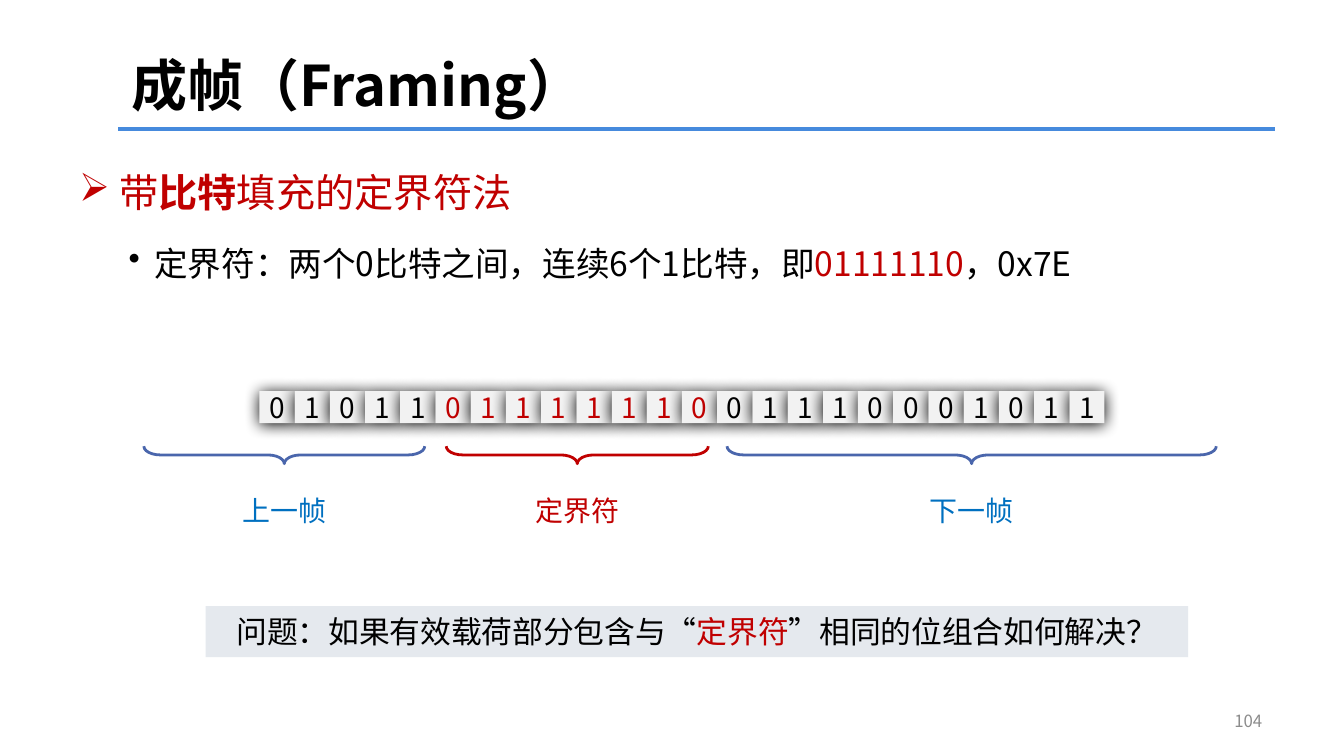
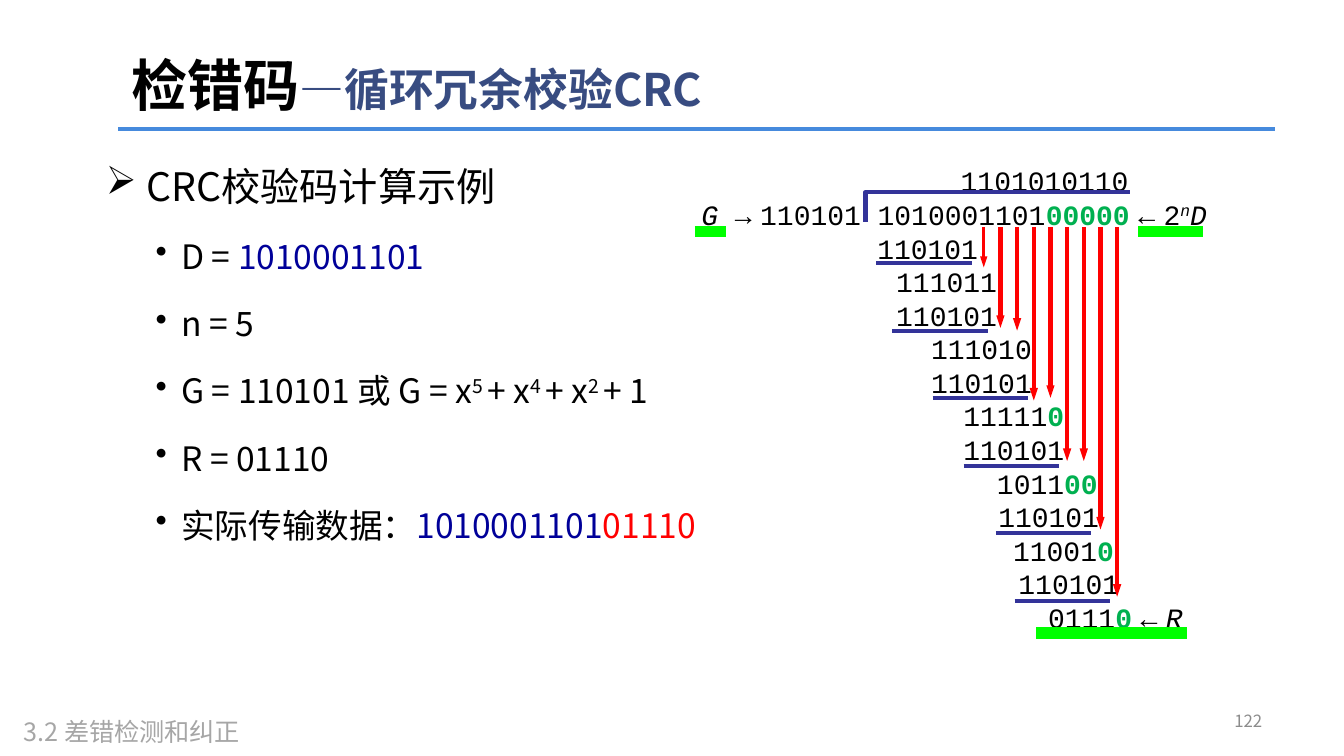
"""Builds two lecture slides on framing and CRC error detection."""
from dataclasses import dataclass
from typing import NamedTuple, Optional, Sequence

from lxml import etree
from pptx import Presentation
from pptx.dml.color import RGBColor
from pptx.enum.shapes import MSO_CONNECTOR, MSO_SHAPE
from pptx.enum.text import MSO_ANCHOR, PP_ALIGN
from pptx.oxml.ns import qn
from pptx.util import Inches, Pt

RECTANGLE, LEFT_BRACE = MSO_SHAPE.RECTANGLE, MSO_SHAPE.LEFT_BRACE
STRAIGHT = MSO_CONNECTOR.STRAIGHT
TOP, MIDDLE = MSO_ANCHOR.TOP, MSO_ANCHOR.MIDDLE
LEFT, CENTER, RIGHT = PP_ALIGN.LEFT, PP_ALIGN.CENTER, PP_ALIGN.RIGHT

SLIDE_WIDTH = Inches(10)
SLIDE_HEIGHT = SLIDE_WIDTH * 9 // 16
UNIT = SLIDE_WIDTH // 100


@dataclass(frozen=True)
class Theme:
    """Colours, fonts and type sizes shared by the slides."""
    sans: str = "Noto Sans CJK SC"
    mono: str = "Courier New"
    black: str = "000000"
    crimson: str = "C00000"
    red: str = "FF0000"
    green: str = "00B050"
    marker: str = "00FF00"
    navy: str = "000099"
    ink: str = "333399"
    rule: str = "468ADD"
    subtitle: str = "384C81"
    brace: str = "4A66AC"
    label: str = "0070C0"
    cell: str = "F2F2F2"
    panel: str = "E5E9EE"
    number: str = "8C8C8C"
    footer: str = "A6A6A6"
    title_size: float = 30
    subtitle_size: float = 24
    heading_size: float = 21
    body_size: float = 18
    question_size: float = 16.5
    detail_size: float = 15
    footer_size: float = 13.5
    number_size: float = 9
    gap_size: float = 7.5


THEME = Theme()


class Box(NamedTuple):
    """A frame in grid columns and rows, 100 columns to the slide."""
    left: float
    top: float
    width: float
    height: float


@dataclass(frozen=True)
class Span:
    """A stretch of text in one format."""
    text: str
    size: float = THEME.body_size
    color: str = THEME.black
    bold: bool = False
    italic: bool = False
    raised: bool = False
    font: str = THEME.sans


@dataclass(frozen=True)
class Line:
    """A paragraph with its layout; indents are in grid columns."""
    spans: Sequence[Span]
    align: PP_ALIGN = LEFT
    spacing: Optional[object] = None
    before: float = 0
    margin: float = 0
    hanging: float = 0
    bullet: str = ""


@dataclass(frozen=True)
class Stroke:
    """A straight line between two grid points."""
    x1: float
    y1: float
    x2: float
    y2: float
    color: str
    weight: float
    arrow: bool = False


@dataclass(frozen=True)
class Section:
    """A brace over a labelled stretch of the bit stream."""
    text: str
    left: float
    width: float
    line_color: str
    text_color: str


SECTIONS = (
    Section("定界符", 33.2, 19.5, THEME.crimson, THEME.crimson),
    Section("上一帧", 10.7, 20.9, THEME.brace, THEME.label),
    Section("下一帧", 54.1, 36.4, THEME.brace, THEME.label),
)
BITS = "01011" "01111110" "01110001011"
DELIMITER = range(5, 13)
ARROW_ENDS = (19.9, 24.4, 24.6, 29.8, 29.6, 34.3, 34.3, 39.4, 44.4)
UNDERLINE_LEFTS = (65.2, 66.4, 69.4, 71.7, 74.1, 75.5)
MARKERS = ((77.1, 88.3, 47.1), (84.7, 89.5, 17.2), (51.7, 54, 17.2))
REMAINDERS = (
    (20.1, "110101", ""), (21.5, "111011", ""), (21.5, "110101", ""),
    (24.1, "111010", ""), (24.1, "110101", ""), (26.5, "11111", "0"),
    (26.5, "110101", ""), (29, "1011", "00"), (29.1, "110101", ""),
    (30.2, "11001", "0"), (30.6, "110101", ""),
)


def grid(value: float) -> int:
    """Turn grid units into a length."""
    return round(value * UNIT)


def frame_of(box: Box) -> list[int]:
    """Turn a grid box into left, top, width and height."""
    return [grid(value) for value in box]


def rgb(color: str) -> RGBColor:
    """Turn a hex string into a colour."""
    return RGBColor.from_string(color)


def style_run(run, span: Span) -> None:
    """Give a run the format of its span."""
    run.font.size = Pt(span.size)
    run.font.bold, run.font.italic = span.bold, span.italic
    run.font.color.rgb = rgb(span.color)
    run.font.name = span.font
    properties = run.font._element
    etree.SubElement(properties, qn("a:ea")).set("typeface", span.font)
    if span.raised:
        properties.set("baseline", "30000")


def write(shape, lines: Sequence[Line], anchor: MSO_ANCHOR = TOP, wrap: bool = True) -> None:
    """Fill a shape with paragraphs."""
    frame = shape.text_frame
    frame.word_wrap, frame.vertical_anchor = wrap, anchor
    for index, line in enumerate(lines):
        para = frame.add_paragraph() if index else frame.paragraphs[0]
        para.text = line.spans[0].text
        for span in line.spans[1:]:
            para.add_run().text = span.text
        para.alignment = line.align
        para.space_before = Pt(line.before if index else 0)
        if line.spacing:
            para.line_spacing = line.spacing
        properties = para._p.get_or_add_pPr()
        properties.set("marL", str(grid(line.margin)))
        properties.set("indent", str(grid(line.hanging)))
        if line.bullet:
            etree.SubElement(properties, qn("a:buChar")).set("char", line.bullet)
        for run, span in zip(para.runs, line.spans):
            style_run(run, span)


def add_text(page, box: Box, lines: Sequence[Line], anchor: MSO_ANCHOR = TOP) -> None:
    """Add a text box."""
    write(page.shapes.add_textbox(*frame_of(box)), lines, anchor)


def add_panel(page, box: Box, color: str):
    """Add a filled rectangle without outline or shadow."""
    panel = page.shapes.add_shape(RECTANGLE, *frame_of(box))
    panel.shadow.inherit = False
    panel.fill.solid()
    panel.fill.fore_color.rgb = rgb(color)
    panel.line.fill.background()
    return panel


def add_stroke(page, stroke: Stroke) -> None:
    """Add a straight line, with an arrowhead at its end if asked."""
    ends = [grid(value) for value in (stroke.x1, stroke.y1, stroke.x2, stroke.y2)]
    connector = page.shapes.add_connector(STRAIGHT, *ends)
    connector.line.color.rgb = rgb(stroke.color)
    connector.line.width = Pt(stroke.weight)
    if stroke.arrow:
        tail = etree.SubElement(connector.line._get_or_add_ln(), qn("a:tailEnd"))
        for key, value in (("type", "triangle"), ("w", "sm"), ("len", "med")):
            tail.set(key, value)
    etree.SubElement(connector._element.spPr, qn("a:effectLst"))


def add_page(deck, title: Sequence[Span], number: str):
    """Add a page with its title, rule and number."""
    page = deck.slides.add_slide(deck.slide_layouts[6])
    add_stroke(page, Stroke(8.8, 9.6, 94.9, 9.6, THEME.rule, 2))
    add_text(page, Box(8.8, 3, 67.4, 7.2), [Line(title, spacing=0.9)], MIDDLE)
    span = Span(number, THEME.number_size, THEME.number)
    add_text(page, Box(72.4, 52.1, 22.5, 3), [Line([span], RIGHT)], MIDDLE)
    return page


def heading(*spans: Span) -> Line:
    """Make a first-level bullet."""
    return Line(spans, spacing=Pt(27), margin=3, hanging=-3, bullet="➢")


def point(*spans: Span) -> Line:
    """Make a second-level bullet."""
    return Line(spans, spacing=Pt(27), before=9, margin=5.6, hanging=-1.9, bullet="•")


def add_bit(page, index: int, bit: str) -> None:
    """Add one shadowed cell of the bit stream."""
    cell = add_panel(page, Box(19.3 + 2.62 * index, 29.1, 2.62, 2.4), THEME.cell)
    shadow = etree.SubElement(cell._element.spPr.find(qn("a:effectLst")), qn("a:outerShdw"))
    for key, value in (("blurRad", Pt(8.5)), ("dist", Pt(1)), ("dir", 90 * 60000)):
        shadow.set(key, str(int(value)))
    etree.SubElement(shadow, qn("a:srgbClr")).set("val", THEME.black)
    cell.text_frame.margin_left = cell.text_frame.margin_right = Inches(0.01)
    color = THEME.crimson if index in DELIMITER else THEME.black
    write(cell, [Line([Span(bit, THEME.detail_size, color)], CENTER)], MIDDLE, wrap=False)


def add_section(page, section: Section) -> None:
    """Add a brace opening upwards and the label below it."""
    middle, depth = section.left + section.width / 2, 1.3
    box = Box(middle - depth / 2, 33.85 - section.width / 2, depth, section.width)
    brace = page.shapes.add_shape(LEFT_BRACE, *frame_of(box))
    brace.rotation = 270
    brace.adjustments[0] = 0.95
    brace.shadow.inherit = False
    brace.fill.background()
    brace.line.color.rgb = rgb(section.line_color)
    brace.line.width = Pt(1.5)
    span = Span(section.text, THEME.detail_size, section.text_color)
    add_text(page, Box(middle - 5.9, 36.2, 11.8, 3.5), [Line([span], CENTER)])


def build_framing(deck) -> None:
    """Build the slide on delimiters with bit stuffing."""
    page = add_page(deck, [Span("成帧（Framing）", THEME.title_size, bold=True)], "104")
    size, color = THEME.heading_size, THEME.crimson
    add_text(page, Box(4.9, 11.8, 90, 38.4), [
        heading(Span("带", size, color), Span("比特", size, color, bold=True),
                Span("填充的定界符法", size, color)),
        point(Span("定界符：两个0比特之间，连续6个1比特，即"),
              Span("01111110", color=color), Span("，0x7E")),
    ])
    for index, bit in enumerate(BITS):
        add_bit(page, index, bit)
    for section in SECTIONS:
        add_section(page, section)
    size = THEME.question_size
    question = [Span("问题：如果有效载荷部分包含与“", size), Span("定界符", size, color),
                Span("”相同的位组合如何解决？", size)]
    panel = add_panel(page, Box(15.3, 45.1, 73.1, 3.8), THEME.panel)
    write(panel, [Line(question, CENTER)], MIDDLE)


def code(text: str, **style) -> Span:
    """Make a span of the long division."""
    return Span(text, **{"size": THEME.detail_size, "font": THEME.mono, **style})


def division_lines() -> list[Line]:
    """List the rows of the long division."""
    gap = code(" ", size=THEME.gap_size)
    zeros = {"color": THEME.green, "bold": True}
    dividend = [code("G ", italic=True), code("→"), gap, code("110101 1010001101"),
                code("00000", **zeros), gap, code("←"), gap, code("2"),
                code("n", italic=True, raised=True), code("D", italic=True)]
    rows = [(26.3, [code("1101010110")]), (7, dividend)]
    for margin, digits, brought in REMAINDERS:
        rows.append((margin, [code(digits)] + ([code(brought, **zeros)] if brought else [])))
    rows.append((32.8, [code("0111"), code("0", **zeros), gap, code("←"), gap,
                        code("R", italic=True)]))
    return [Line(spans, spacing=Pt(18), margin=margin) for margin, spans in rows]


def add_division(page) -> None:
    """Add the long division with its bracket, arrows and underlines."""
    add_text(page, Box(44.2, 11.7, 55.3, 36.4), division_lines())
    builder = page.shapes.build_freeform(grid(64.4), grid(16.5))
    builder.add_line_segments([(grid(64.4), grid(14.3)), (grid(84.1), grid(14.3))], close=False)
    bracket = builder.convert_to_shape()
    bracket.shadow.inherit = False
    bracket.fill.background()
    bracket.line.color.rgb = rgb(THEME.ink)
    bracket.line.width = Pt(2.25)
    for index, end in enumerate(ARROW_ENDS):
        x = 73.2 + 1.24 * index
        add_stroke(page, Stroke(x, 16.9, x, end, THEME.red, 2.25 if index else 1.5, True))
    for index, left in enumerate(UNDERLINE_LEFTS):
        y = 19.6 + 5.02 * index
        add_stroke(page, Stroke(left, y, left + 7.1, y, THEME.ink, 2.25))
    for left, right, y in MARKERS:
        add_stroke(page, Stroke(left, y, right, y, THEME.marker, 6))


def build_crc(deck) -> None:
    """Build the slide with the CRC worked example."""
    page = add_page(deck, [
        Span("检错码", THEME.title_size, bold=True),
        Span("—循环冗余校验CRC", THEME.subtitle_size, THEME.subtitle, bold=True),
    ], "122")
    powers = [span for power in "542"
              for span in (Span(power + " ", raised=True), Span("+ 1" if power == "2" else "+ x"))]
    data = Span("1010001101", color=THEME.navy)
    add_text(page, Box(6.9, 11.3, 52.5, 35.8), [
        heading(Span("CRC校验码计算示例", THEME.heading_size)),
        point(Span("D = "), data),
        point(Span("n = 5")),
        point(Span("G = 110101 或 G = x"), *powers),
        point(Span("R = 01110")),
        point(Span("实际传输数据："), data, Span("01110", color=THEME.red)),
    ])
    footer = Span("3.2 差错检测和纠正", THEME.footer_size, THEME.footer)
    add_text(page, Box(0.8, 52.8, 25, 3.3), [Line([footer])])
    add_division(page)


def main() -> None:
    """Build and save the deck."""
    deck = Presentation()
    deck.slide_width, deck.slide_height = SLIDE_WIDTH, SLIDE_HEIGHT
    build_framing(deck)
    build_crc(deck)
    deck.save("out.pptx")


if __name__ == "__main__":
    main()
